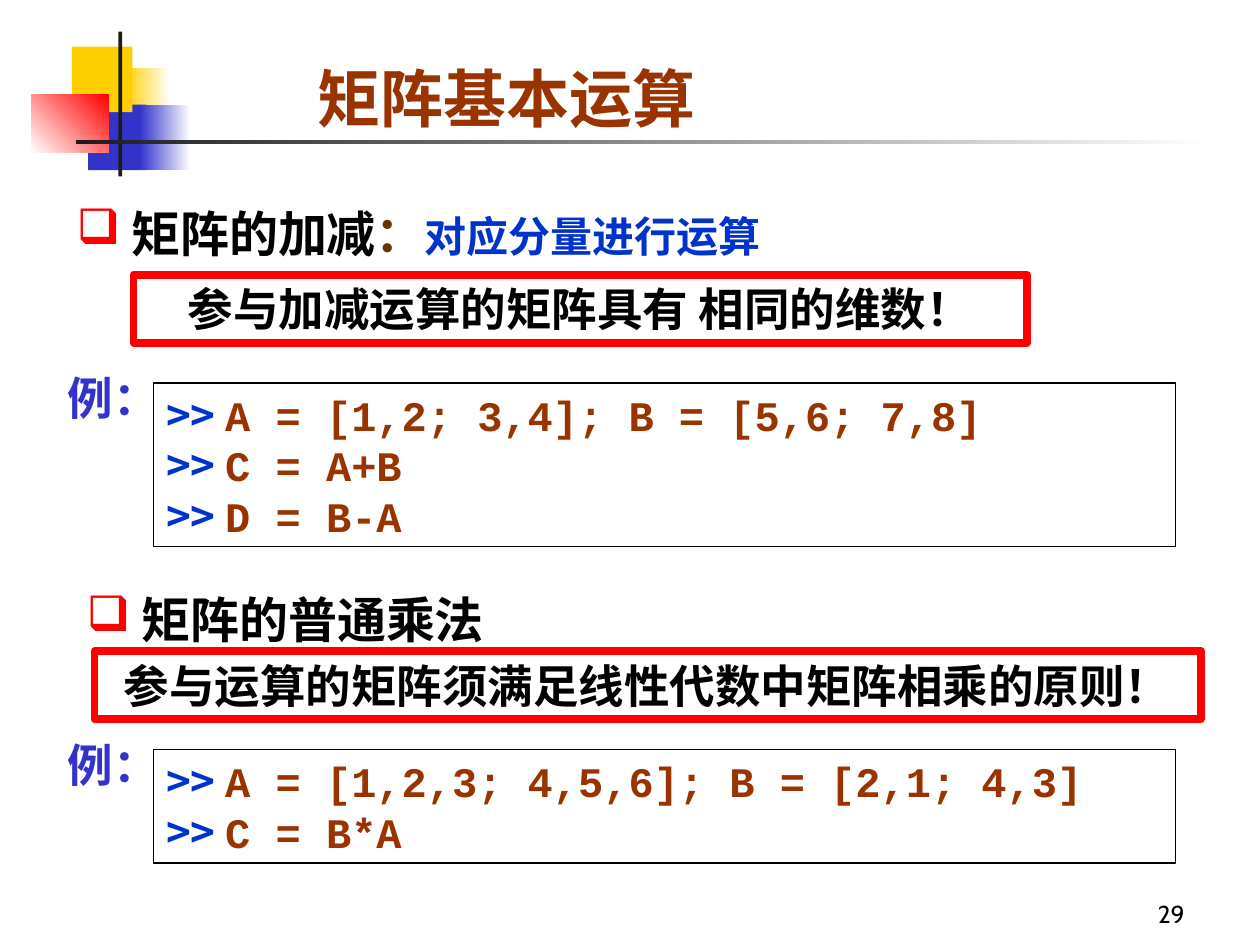
from dataclasses import dataclass
from typing import Optional

from lxml.etree import SubElement
from pptx import Presentation
from pptx.dml.color import RGBColor
from pptx.enum.shapes import MSO_SHAPE
from pptx.enum.text import MSO_ANCHOR, MSO_AUTO_SIZE, PP_ALIGN
from pptx.oxml.ns import qn
from pptx.util import Inches, Pt


@dataclass(frozen=True)
class Theme:
    """Colours, fonts and type sizes of the slide."""
    black: str = "000000"
    white: str = "FFFFFF"
    ink: str = "1C1C1C"
    red: str = "FF0000"
    yellow: str = "FFCF01"
    indigo: str = "3333CC"
    blue: str = "0033CC"
    rust: str = "993300"
    brown: str = "663300"
    serif: str = "Times New Roman"
    mono: str = "Courier New"
    cjk: str = "Noto Sans CJK SC"
    number_font: str = "Cabin"
    title: int = 36
    heading: int = 28
    body: int = 26
    code: int = 24
    number: int = 14


T = Theme()


@dataclass(frozen=True)
class Box:
    """Position and size in inches."""
    x: float
    y: float
    w: float
    h: float

    def emu(self) -> tuple:
        """Return the four lengths for python-pptx."""
        return tuple(Inches(v) for v in (self.x, self.y, self.w, self.h))


@dataclass(frozen=True)
class Block:
    """A decorative rectangle, with an optional gradient end."""
    box: Box
    color: str
    end: Optional[str] = None
    angle: int = 0


@dataclass(frozen=True)
class Section:
    """A heading, its boxed rule and a code example."""
    heading_at: Box
    heading: str
    colon: str
    remark: str
    rule_at: Box
    rule: str
    label_at: Box
    code_at: Box
    code: tuple


BLOCKS = (
    Block(Box(0.99, 0.54, 0.36, 0.52), T.yellow, T.white),
    Block(Box(0.7, 0.83, 0.46, 0.52), T.indigo),
    Block(Box(0.57, 0.37, 0.48, 0.52), T.yellow),
    Block(Box(1.11, 0.83, 0.4, 0.52), T.indigo, T.white),
    Block(Box(0.25, 0.75, 0.61, 0.46), T.white, T.red, 45),
    Block(Box(0.94, 0.25, 0.03, 1.15), T.ink),
    Block(Box(0.6, 1.11, 9, 0.03), T.ink, T.white),
)

SECTIONS = (
    Section(Box(0.51, 1.47, 8.27, 0.66), "矩阵的加减", "：", "对应分量进行运算",
            Box(1.06, 2.18, 7.09, 0.54), "参与加减运算的矩阵具有 相同的维数！",
            Box(0.44, 2.89, 0.92, 0.54), Box(1.22, 3.04, 8.11, 1.3),
            ("A = [1,2; 3,4]; B = [5,6; 7,8]", "C = A+B", "D = B-A")),
    Section(Box(0.59, 4.54, 8.27, 0.66), "矩阵的普通乘法", "", "",
            Box(0.75, 5.17, 8.78, 0.54), "参与运算的矩阵须满足线性代数中矩阵相乘的原则！",
            Box(0.44, 5.8, 0.92, 0.54), Box(1.22, 5.95, 8.11, 0.9),
            ("A = [1,2,3; 4,5,6]; B = [2,1; 4,3]", "C = B*A")),
)


def add_text(p, text: str, *, size: int, color: str = T.black,
             font: str = T.serif, bold: bool = True) -> None:
    """Append a formatted run to a paragraph."""
    r = p.add_run()
    r.text = text
    r.font.size = Pt(size)
    r.font.bold = bold
    r.font.name = font
    r.font.color.rgb = RGBColor.from_string(color)
    latin = r.font._element.find(qn("a:latin"))
    ea = latin.makeelement(qn("a:ea"), {"typeface": T.cjk})
    latin.addnext(ea)


def add_bullet(p, char: str, color: str) -> None:
    """Give a paragraph a coloured bullet without indent."""
    pPr = p._p.get_or_add_pPr()
    SubElement(SubElement(pPr, qn("a:buClr")), qn("a:srgbClr"), val=color)
    SubElement(pPr, qn("a:buChar"), char=char)


def add_block(s, block: Block) -> None:
    """Draw a solid or gradient rectangle without outline."""
    sp = s.shapes.add_shape(MSO_SHAPE.RECTANGLE, *block.box.emu())
    sp.shadow.inherit = False
    sp.line.fill.background()
    if block.end is None:
        sp.fill.solid()
        sp.fill.fore_color.rgb = RGBColor.from_string(block.color)
        return
    sp.fill.gradient()
    sp.fill.gradient_angle = block.angle
    for stop, color in zip(sp.fill.gradient_stops, (block.color, block.end)):
        stop.color.rgb = RGBColor.from_string(color)


def add_box(s, box: Box, wrap: bool = True):
    """Add a text box and return its text frame."""
    tf = s.shapes.add_textbox(*box.emu()).text_frame
    tf.word_wrap = wrap
    return tf


def add_frame(s, box: Box, color: str, width: float):
    """Add an outlined rectangle and return its text frame."""
    sp = s.shapes.add_shape(MSO_SHAPE.RECTANGLE, *box.emu())
    sp.shadow.inherit = False
    sp.fill.background()
    sp.line.color.rgb = RGBColor.from_string(color)
    sp.line.width = Pt(width)
    tf = sp.text_frame
    tf.word_wrap = True
    tf.vertical_anchor = MSO_ANCHOR.TOP
    return tf


def add_section(s, sec: Section) -> None:
    """Draw one heading with its rule and example."""
    p = add_box(s, sec.heading_at).paragraphs[0]
    p.line_spacing = 1.2
    add_bullet(p, "❑", T.red)
    add_text(p, " " + sec.heading, size=T.heading)
    if sec.remark:
        add_text(p, sec.colon, size=T.heading, color=T.brown, font=T.mono)
        add_text(p, sec.remark, size=T.code, color=T.blue, font=T.mono)

    p = add_frame(s, sec.rule_at, T.red, 4.5).paragraphs[0]
    p.alignment = PP_ALIGN.CENTER
    add_text(p, sec.rule, size=T.body)

    tf = add_frame(s, sec.code_at, T.black, 0.75)
    for i, line in enumerate(sec.code):
        p = tf.add_paragraph() if i else tf.paragraphs[0]
        p.alignment = PP_ALIGN.LEFT
        add_text(p, ">> ", size=T.code, color=T.blue, font=T.cjk)
        add_text(p, line, size=T.code, color=T.rust, font=T.mono)

    p = add_box(s, sec.label_at, wrap=False).paragraphs[0]
    add_text(p, "例：", size=T.body, color=T.indigo)


def main() -> None:
    """Build and save the slide."""
    prs = Presentation()
    prs.slide_width, prs.slide_height = Inches(10), Inches(7.5)
    s = prs.slides.add_slide(prs.slide_layouts[5])
    for block in BLOCKS:
        add_block(s, block)

    title = s.shapes.title
    title.left, title.top, title.width, title.height = Box(2.42, 0.42, 5.25, 0.7).emu()
    tf = title.text_frame
    tf.vertical_anchor = MSO_ANCHOR.BOTTOM
    tf.auto_size = MSO_AUTO_SIZE.NONE
    p = tf.paragraphs[0]
    p.alignment = PP_ALIGN.LEFT
    add_text(p, "矩阵基本运算", size=T.title, color=T.rust)

    for sec in SECTIONS:
        add_section(s, sec)

    tf = add_box(s, Box(7.42, 6.92, 2.08, 0.5))
    tf.vertical_anchor = MSO_ANCHOR.BOTTOM
    p = tf.paragraphs[0]
    p.alignment = PP_ALIGN.RIGHT
    add_text(p, "29", size=T.number, font=T.number_font, bold=False)
    prs.save("out.pptx")


if __name__ == "__main__":
    main()
